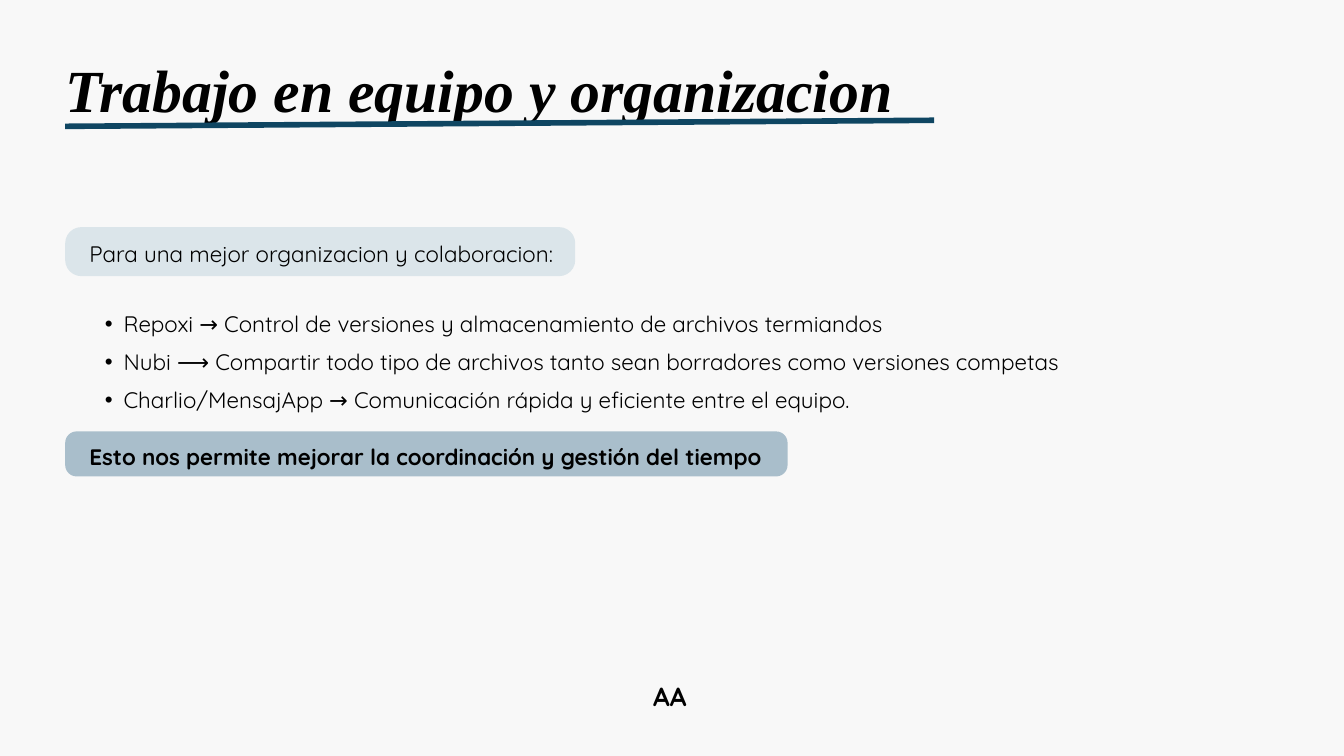
"""Builds the slide on teamwork and organisation."""
from dataclasses import dataclass

from lxml.etree import SubElement
from pptx import Presentation
from pptx.dml.color import RGBColor as Rgb
from pptx.enum.shapes import MSO_CONNECTOR as Connector, MSO_SHAPE as Shape
from pptx.enum.text import MSO_ANCHOR as Anchor, MSO_AUTO_SIZE as AutoSize, PP_ALIGN as Align
from pptx.oxml.ns import qn
from pptx.util import Inches, Pt


@dataclass(frozen=True)
class Theme:
    background: Rgb = Rgb.from_string("F8F8F8")
    ink: Rgb = Rgb.from_string("000000")
    rule: Rgb = Rgb.from_string("0F4662")
    pale: Rgb = Rgb.from_string("DBE5EA")
    mid: Rgb = Rgb.from_string("A9BECB")
    title_font: str = "Times New Roman"
    body_font: str = "Quicksand"
    bullet_font: str = "Arial"
    title_size: float = 64
    body_size: float = 24
    initials_size: float = 28
    title_leading: float = 89.6
    body_leading: float = 40.8
    initials_leading: float = 39.2
    rule_width: float = 6


THEME = Theme()
WIDTH, HEIGHT = Inches(20), Inches(11.25)
COLUMNS = 20
CELL = WIDTH // COLUMNS
MARGIN = 0.97
TITLE_WIDTH = 12.93
PAD = 0.36

TITLE = "Trabajo en equipo y organizacion"
INITIALS = "AA"
TOOLS = [
    ("Repoxi", "→", "Control de versiones y almacenamiento de archivos termiandos"),
    ("Nubi", "⟶", "Compartir todo tipo de archivos tanto sean borradores como versiones competas"),
    ("Charlio/MensajApp", "→", "Comunicación rápida y eficiente entre el equipo."),
]
BANNERS = [
    {"text": "Para una mejor organizacion y colaboracion:", "top": 3.38, "width": 7.59,
     "height": 0.73, "radius": 0.24, "drop": 0.03, "fill": THEME.pale, "bold": False},
    {"text": "Esto nos permite mejorar la coordinación y gestión del tiempo", "top": 6.42, "width": 10.75,
     "height": 0.67, "radius": 0.17, "drop": 0, "fill": THEME.mid, "bold": True},
]


def grid(*cells):
    return [round(cell * CELL) for cell in cells]


def write(shape, lines, size, leading, font=THEME.body_font, bold=False, italic=False):
    frame = shape.text_frame
    frame.text = "\n".join(lines)
    frame.word_wrap = True
    frame.auto_size = AutoSize.NONE
    frame.vertical_anchor = Anchor.TOP
    frame.margin_left = frame.margin_top = frame.margin_right = frame.margin_bottom = 0
    for paragraph in frame.paragraphs:
        paragraph.alignment = Align.LEFT
        paragraph.line_spacing = Pt(leading)
        paragraph.font.name = font
        paragraph.font.size = Pt(size)
        paragraph.font.bold = bold
        paragraph.font.italic = italic
        paragraph.font.color.rgb = THEME.ink
    return frame.paragraphs


def add_bullet(paragraph, indent, hanging):
    properties = paragraph._p.get_or_add_pPr()
    properties.set("marL", str(Inches(indent)))
    properties.set("indent", str(-Inches(hanging)))
    for tag, attributes in [("a:buFont", {"typeface": THEME.bullet_font}), ("a:buChar", {"char": "•"})]:
        bullet = properties.makeelement(qn(tag), attributes)
        properties.insert_element_before(bullet, "a:tabLst", "a:defRPr", "a:extLst")


def add_banner(slide, banner):
    top, width, height = banner["top"], banner["width"], banner["height"]
    panel = slide.shapes.add_shape(Shape.ROUNDED_RECTANGLE, *grid(MARGIN, top, width, height))
    panel.adjustments[0] = banner["radius"] / height
    panel.shadow.inherit = False
    panel.fill.solid()
    panel.fill.fore_color.rgb = banner["fill"]
    panel.line.fill.background()
    message = slide.shapes.add_textbox(*grid(MARGIN + PAD, top + banner["drop"], width - PAD, 0.53))
    write(message, [banner["text"]], THEME.body_size, THEME.body_leading, bold=banner["bold"])


def add_title(slide):
    title = slide.shapes.title
    title.left, title.top, title.width, title.height = grid(MARGIN, 0.61, TITLE_WIDTH, 1.19)
    write(title, [TITLE], THEME.title_size, THEME.title_leading, THEME.title_font, bold=True, italic=True)
    rule = slide.shapes.add_connector(
        Connector.STRAIGHT, *grid(MARGIN, 1.88, MARGIN + TITLE_WIDTH, 1.79))
    rule.line.color.rgb = THEME.rule
    rule.line.width = Pt(THEME.rule_width)
    SubElement(rule._element.spPr, qn("a:effectLst"))


def main():
    deck = Presentation()
    deck.slide_width, deck.slide_height = WIDTH, HEIGHT
    slide = deck.slides.add_slide(deck.slide_layouts[5])
    slide.background.fill.solid()
    slide.background.fill.fore_color.rgb = THEME.background

    add_title(slide)
    for banner in BANNERS:
        add_banner(slide, banner)

    tools = slide.shapes.add_textbox(*grid(1.27, 4.45, 14.9, 1.66))
    for paragraph in write(tools, map(" ".join, TOOLS), THEME.body_size, THEME.body_leading):
        add_bullet(paragraph, 0.57, 0.28)

    initials = slide.shapes.add_textbox(*grid(9.72, 10.05, 5.58, 0.54))
    write(initials, [INITIALS], THEME.initials_size, THEME.initials_leading, bold=True)
    deck.save("out.pptx")


if __name__ == "__main__":
    main()
